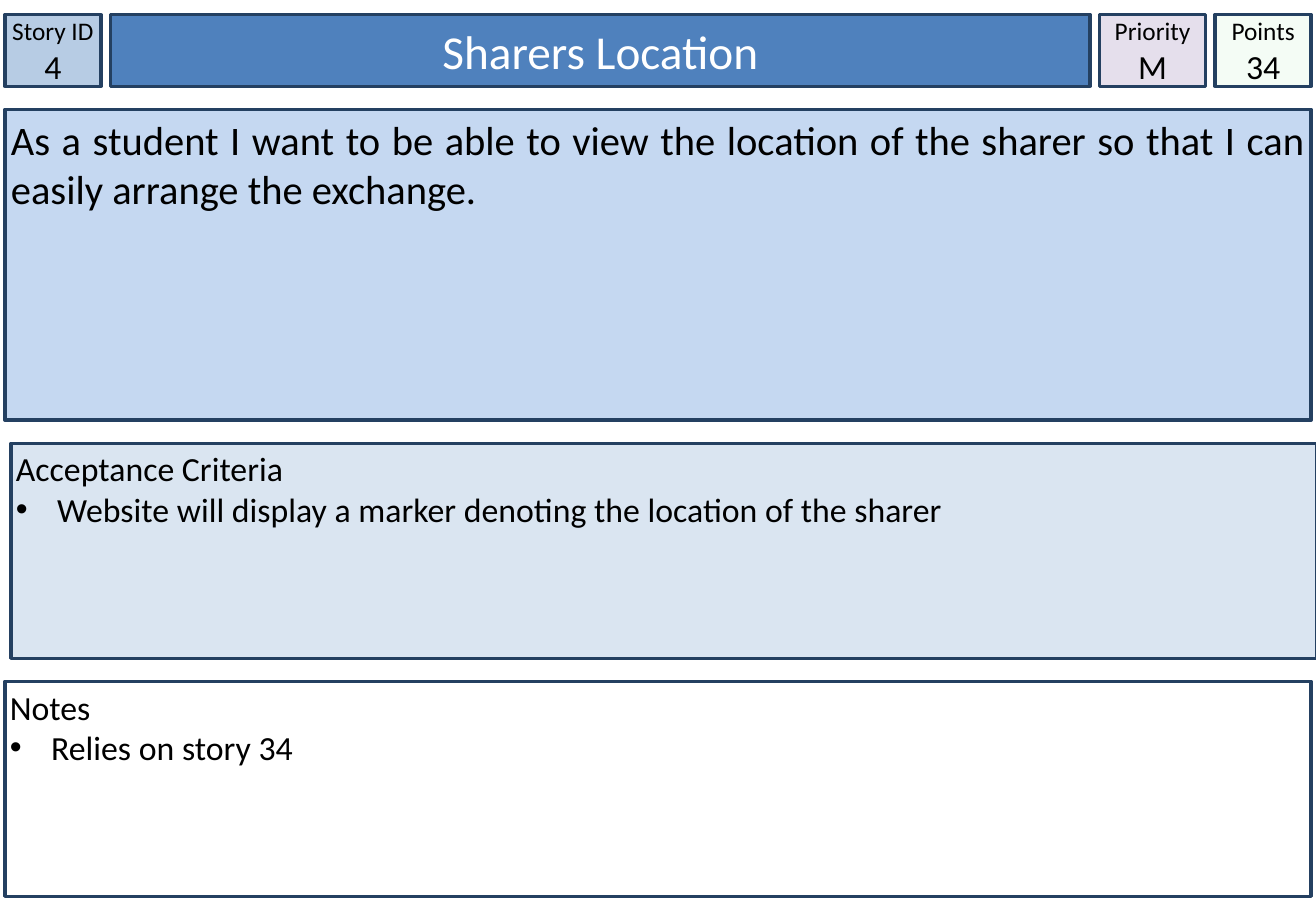
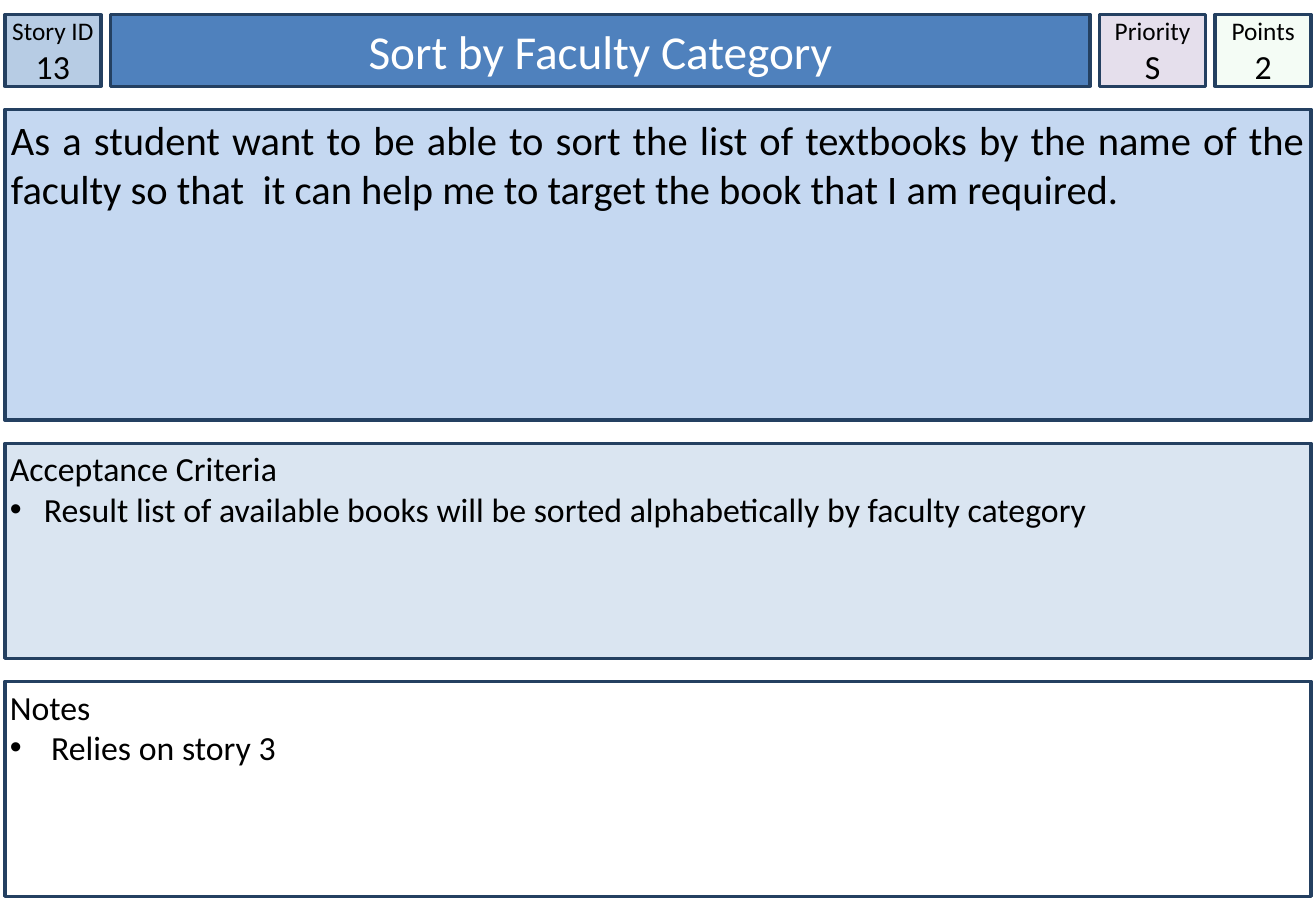
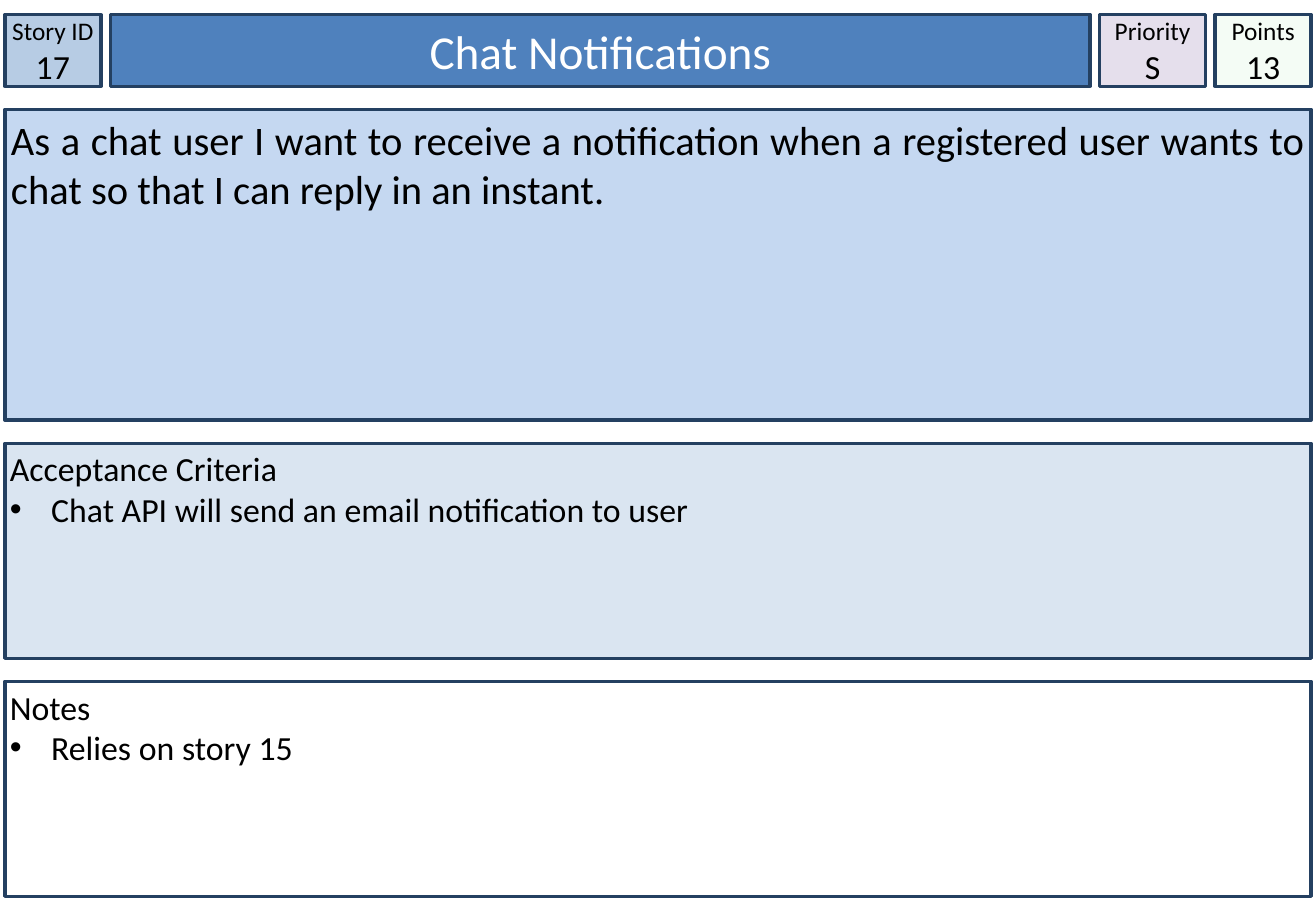
from itertools import accumulate

from lxml import etree
from pptx import Presentation
from pptx import util as u
from pptx.dml.color import RGBColor
from pptx.enum import shapes, text
from pptx.oxml import ns

STORIES = [
    dict(id="4", title="Sharers Location", rank="M", points="34",
         story="As a student I want to be able to view the location of the sharer "
               "so that I can easily arrange the exchange.",
         tests="Website will display a marker denoting the location of the sharer",
         notes="Relies on story 34", shift=0.05, hang=0.34),
    dict(id="13", title="Sort by Faculty Category", rank="S", points="2",
         story="As a student want to be able to sort the list of textbooks by the name "
               "of the faculty so that  it can help me to target the book that I am required.",
         tests="Result list of available books will be sorted alphabetically by faculty category",
         notes="Relies on story 3", shift=0, hang=0.28),
    dict(id="17", title="Chat Notifications", rank="S", points="13",
         story="As a chat user I want to receive a notification when a registered user "
               "wants to chat so that I can reply in an instant.",
         tests="Chat API will send an email notification to user",
         notes="Relies on story 15", shift=0, hang=0.34),
]

NAVY = RGBColor(0x24, 0x40, 0x61)
BLUE = RGBColor(0x4F, 0x81, 0xBD)
STEEL = RGBColor(0xB7, 0xCC, 0xE4)
SKY = RGBColor(0xC5, 0xD8, 0xF1)
PALE = RGBColor(0xDA, 0xE5, 0xF1)
LILAC = RGBColor(0xE5, 0xDF, 0xEC)
GREEN = RGBColor(0xCC, 0xF0, 0xCD)
WHITE = RGBColor(0xFF, 0xFF, 0xFF)
BLACK = RGBColor(0, 0, 0)

FONT = "Calibri"
WIDE, HIGH = 10.83, 7.5
EDGE, TOP = 0.04, 0.12
GAP, GUT = 0.08, 0.19
FULL = WIDE - 2 * EDGE
TAG, RANK = 0.79, 0.87
COLS = [TAG, FULL - 2 * TAG - RANK - 3 * GAP, RANK, TAG]
ROWS = [0.59, 2.56, 1.77, 1.77]

LEFT, MID, JUST = text.PP_ALIGN.LEFT, text.PP_ALIGN.CENTER, text.PP_ALIGN.JUSTIFY


def starts(first, sizes, gap):
    return list(accumulate((s + gap for s in sizes[:-1]), initial=first))


XS = starts(EDGE, COLS, GAP)
YS = starts(TOP, ROWS, GUT)


def style(box, area, fill, inset, anchor):
    box.left, box.top, box.width, box.height = (u.Inches(v) for v in area)
    box.fill.solid()
    box.fill.fore_color.rgb = fill
    box.line.color.rgb = NAVY
    box.line.width = u.Pt(2)
    frame = box.text_frame
    frame.word_wrap = True
    frame.auto_size = text.MSO_AUTO_SIZE.NONE
    frame.vertical_anchor = anchor
    frame.margin_left = frame.margin_right = u.Inches(inset)
    frame.margin_top = frame.margin_bottom = u.Inches(inset)


def write(para, words, size, align, color=BLACK):
    para.alignment = align
    run = para.add_run()
    run.text = words
    run.font.name = FONT
    run.font.size = u.Pt(size)
    run.font.color.rgb = color


def bullet(para, hang):
    props = para._p.get_or_add_pPr()
    props.set("marL", str(u.Inches(hang)))
    props.set("indent", str(-u.Inches(hang)))
    etree.SubElement(props, ns.qn("a:buFont")).set("typeface", "Arial")
    etree.SubElement(props, ns.qn("a:buChar")).set("char", "•")


def fade(box, share):
    tint = box._element.spPr.find(".//" + ns.qn("a:srgbClr"))
    etree.SubElement(tint, ns.qn("a:alpha")).set("val", str(share * 1000))


def panel(slide, area, fill, inset=0, anchor=text.MSO_ANCHOR.TOP):
    box = slide.shapes.add_shape(shapes.MSO_SHAPE.RECTANGLE, 0, 0, 0, 0)
    box.shadow.inherit = False
    style(box, area, fill, inset, anchor)
    return box


def tag(slide, col, label, value, fill):
    area = XS[col], YS[0], COLS[col], ROWS[0]
    box = panel(slide, area, fill, anchor=text.MSO_ANCHOR.MIDDLE)
    write(box.text_frame.paragraphs[0], label, 15, MID)
    write(box.text_frame.add_paragraph(), value, 20, MID)
    return box


def items(slide, row, head, point, fill, hang, shift=0):
    area = EDGE + shift, YS[row], FULL, ROWS[row]
    frame = panel(slide, area, fill, 0.04).text_frame
    write(frame.paragraphs[0], head, 20, LEFT)
    para = frame.add_paragraph()
    write(para, point, 20, LEFT)
    bullet(para, hang)


def card(deck, data):
    slide = deck.slides.add_slide(deck.slide_layouts[5])
    title = slide.shapes.title
    style(title, (XS[1], YS[0], COLS[1], ROWS[0]), BLUE, 0, text.MSO_ANCHOR.MIDDLE)
    write(title.text_frame.paragraphs[0], data["title"], 28, MID, WHITE)
    tag(slide, 0, "Story ID", data["id"], STEEL)
    tag(slide, 2, "Priority", data["rank"], LILAC)
    fade(tag(slide, 3, "Points", data["points"], GREEN), 20)
    story = panel(slide, (EDGE, YS[1], FULL, ROWS[1]), SKY, 0.05)
    write(story.text_frame.paragraphs[0], data["story"], 24, JUST)
    items(slide, 2, "Acceptance Criteria", data["tests"], PALE, data["hang"], data["shift"])
    items(slide, 3, "Notes", data["notes"], WHITE, 0.34)


def main():
    deck = Presentation()
    deck.slide_width, deck.slide_height = u.Inches(WIDE), u.Inches(HIGH)
    for data in STORIES:
        card(deck, data)
    deck.save("out.pptx")


if __name__ == "__main__":
    main()
